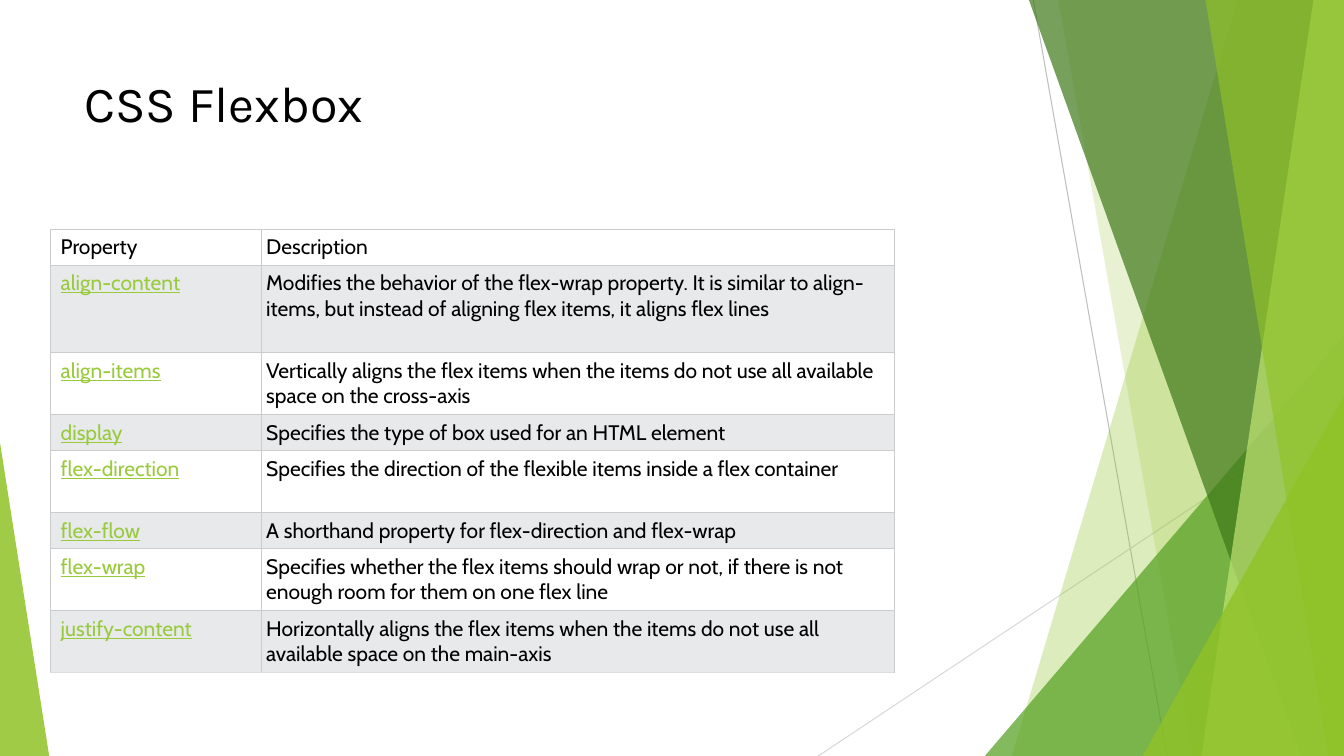
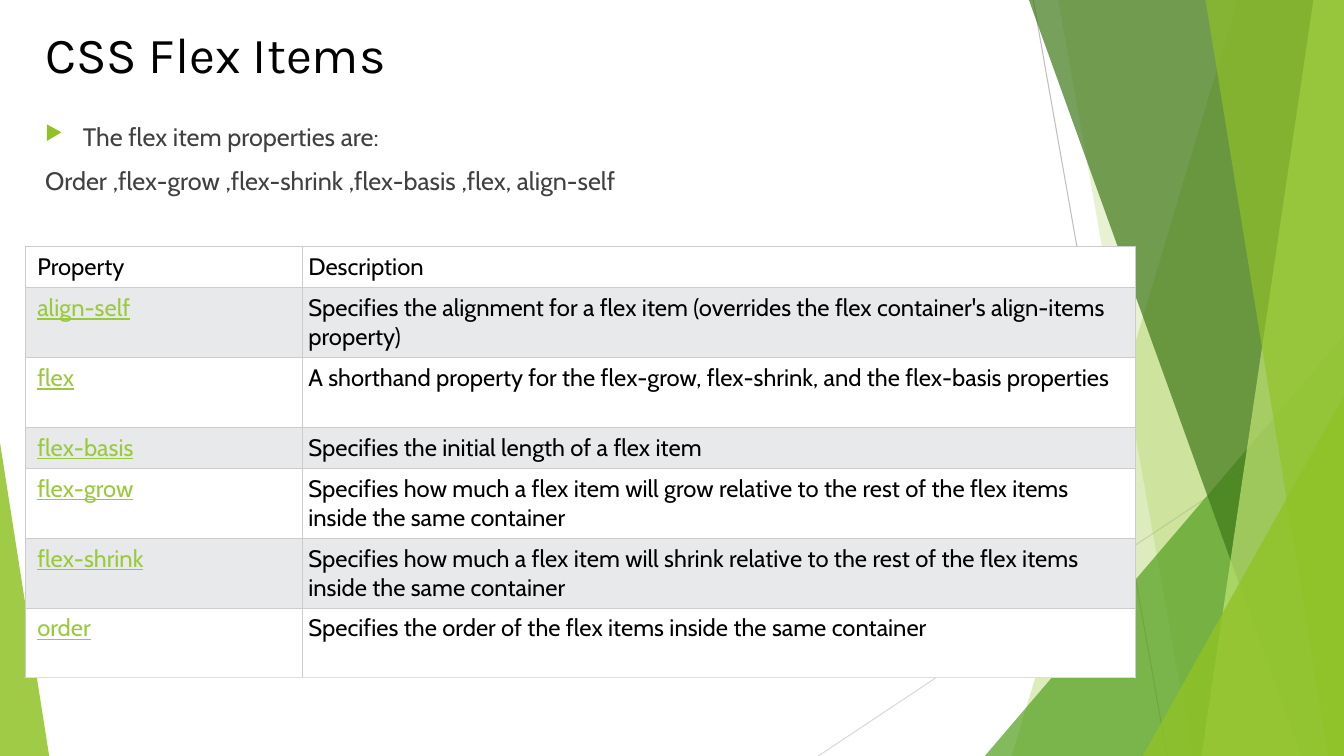
"""Build two slides on CSS flexbox properties with a shared green backdrop."""
from dataclasses import dataclass

import lxml.etree
import pptx
import pptx.dml.color
import pptx.enum.shapes
import pptx.enum.text
import pptx.oxml.ns
import pptx.shapes.base
import pptx.slide
import pptx.table
import pptx.text.text
import pptx.util

Cm = pptx.util.Cm
Pt = pptx.util.Pt
qn = pptx.oxml.ns.qn

WIDTH, HEIGHT = 33.87, 19.05
TITLE_FONT, BODY_FONT = "Karla", "Cabin"
COLORS = {
    "black": "000000",
    "body": "404040",
    "white": "FFFFFF",
    "stripe": "E7E9EB",
    "link": "99CA3C",
    "border": "CCCCCC",
    "border_end": "DDDDDD",
    "line_dark": "BFBFBF",
    "line_light": "D9D9D9",
    "lime": "90C226",
    "green": "54A021",
    "forest": "3F7819",
    "pale": "C0E474",
}


@dataclass(frozen=True)
class Ray:
    start: tuple[float, float]
    end: tuple[float, float]
    color: str


@dataclass(frozen=True)
class Band:
    top_x: float
    bottom_x: float
    color: str
    opacity: int


@dataclass(frozen=True)
class Wedge:
    left: float
    top: float
    width: float
    apex: float
    color: str
    opacity: int


@dataclass(frozen=True)
class Entry:
    name: str
    description: str
    lines: int


@dataclass(frozen=True)
class Grid:
    left: float
    top: float
    columns: tuple[float, float]
    size: int
    padding: float
    line_height: float
    entries: tuple[Entry, ...]


RAYS = (
    Ray((26.04, 0), (29.41, HEIGHT), "line_dark"),
    Ray((WIDTH, 10.24), (20.62, HEIGHT), "line_light"),
)
FACETS = (
    Band(31.19, 25.5, "lime", 30),
    Band(26.67, 30.05, "lime", 20),
    Wedge(24.82, 8.46, WIDTH - 24.82, 1, "green", 72),
    Band(25.93, 32.79, "forest", 70),
    Band(33.1, 30.28, "pale", 70),
    Band(30.38, 33.48, "lime", 65),
    Wedge(28.8, 9.98, WIDTH - 28.8, 1, "lime", 80),
    Wedge(0, 11.15, 1.24, 0, "lime", 85),
)
HEADER = Entry("Property", "Description", 1)
CONTAINER_GRID = Grid(1.27, 5.77, (5.31, 15.95), 15, 0.13, 0.65, (
    HEADER,
    Entry("align-content", "Modifies the behavior of the flex-wrap property. It is similar to "
          "align-items, but instead of aligning flex items, it aligns flex lines", 3),
    Entry("align-items", "Vertically aligns the flex items when the items do not use all "
          "available space on the cross-axis", 2),
    Entry("display", "Specifies the type of box used for an HTML element", 1),
    Entry("flex-direction", "Specifies the direction of the flexible items inside a flex "
          "container", 2),
    Entry("flex-flow", "A shorthand property for flex-direction and flex-wrap", 1),
    Entry("flex-wrap", "Specifies whether the flex items should wrap or not, if there is not "
          "enough room for them on one flex line", 2),
    Entry("justify-content", "Horizontally aligns the flex items when the items do not use all "
          "available space on the main-axis", 2),
))
ITEM_GRID = Grid(0.64, 6.22, (6.98, 21), 17, 0.15, 0.73, (
    HEADER,
    Entry("align-self", "Specifies the alignment for a flex item (overrides the flex "
          "container's align-items property)", 2),
    Entry("flex", "A shorthand property for the flex-grow, flex-shrink, and the flex-basis "
          "properties", 2),
    Entry("flex-basis", "Specifies the initial length of a flex item", 1),
    Entry("flex-grow", "Specifies how much a flex item will grow relative to the rest of the "
          "flex items inside the same container", 2),
    Entry("flex-shrink", "Specifies how much a flex item will shrink relative to the rest of "
          "the flex items inside the same container", 2),
    Entry("order", "Specifies the order of the flex items inside the same container", 2),
))


def rgb(name: str) -> pptx.dml.color.RGBColor:
    return pptx.dml.color.RGBColor.from_string(COLORS[name])


def add_span(para: pptx.text.text._Paragraph, text: str, font: str, size: int,
             color: str, underline: bool = False) -> None:
    span = para.add_run()
    span.text = text
    span.font.name = font
    span.font.size = Pt(size)
    span.font.color.rgb = rgb(color)
    span.font.underline = underline


def add_ray(page: pptx.slide.Slide, ray: Ray) -> None:
    line = page.shapes.add_connector(
        pptx.enum.shapes.MSO_CONNECTOR.STRAIGHT, *map(Cm, ray.start + ray.end))
    line.line.color.rgb = rgb(ray.color)
    line.line.width = Pt(0.75)
    lxml.etree.SubElement(line.element.spPr, qn("a:effectLst"))


def add_band(page: pptx.slide.Slide, band: Band) -> pptx.shapes.base.BaseShape:
    builder = page.shapes.build_freeform(Cm(band.top_x), 0, scale=1.0)
    corners = ((WIDTH, 0), (WIDTH, HEIGHT), (band.bottom_x, HEIGHT))
    builder.add_line_segments([(Cm(x), Cm(y)) for x, y in corners], close=True)
    return builder.convert_to_shape()


def add_wedge(page: pptx.slide.Slide, wedge: Wedge) -> pptx.shapes.base.BaseShape:
    shape = page.shapes.add_shape(
        pptx.enum.shapes.MSO_SHAPE.ISOSCELES_TRIANGLE, Cm(wedge.left), Cm(wedge.top),
        Cm(wedge.width), Cm(HEIGHT - wedge.top))
    shape.adjustments[0] = wedge.apex
    return shape


def add_backdrop(page: pptx.slide.Slide) -> None:
    for ray in RAYS:
        add_ray(page, ray)
    for facet in FACETS:
        shape = add_band(page, facet) if isinstance(facet, Band) else add_wedge(page, facet)
        shape.shadow.inherit = False
        shape.line.fill.background()
        shape.fill.solid()
        shape.fill.fore_color.rgb = rgb(facet.color)
        color = shape.element.spPr.find(qn("a:solidFill"))[0]
        lxml.etree.SubElement(color, qn("a:alpha"), val=str(facet.opacity * 1000))


def add_text_frame(page: pptx.slide.Slide, left: float, top: float, width: float,
                   height: float) -> pptx.text.text.TextFrame:
    box = page.shapes.add_textbox(Cm(left), Cm(top), Cm(width), Cm(height))
    box.text_frame.word_wrap = True
    return box.text_frame


def add_title(page: pptx.slide.Slide, text: str, left: float, top: float) -> None:
    frame = add_text_frame(page, left, top, 23.88, 3.66)
    add_span(frame.paragraphs[0], text, TITLE_FONT, 36, "black")


def add_bullet(para: pptx.text.text._Paragraph) -> None:
    properties = para._p.get_or_add_pPr()
    indent = Cm(0.95)
    properties.set("marL", str(indent))
    properties.set("indent", str(-indent))
    color = lxml.etree.SubElement(properties, qn("a:buClr"))
    lxml.etree.SubElement(color, qn("a:srgbClr"), val=COLORS["lime"])
    lxml.etree.SubElement(properties, qn("a:buSzPct"), val="80000")
    lxml.etree.SubElement(properties, qn("a:buChar"), char="▶")


def add_introduction(page: pptx.slide.Slide, bullet: str, listing: str) -> None:
    frame = add_text_frame(page, 0.89, 2.92, 30.3, 4.06)
    for para, text in ((frame.paragraphs[0], bullet), (frame.add_paragraph(), listing)):
        para.space_before = Pt(10)
        add_span(para, text, BODY_FONT, 18, "body")
    add_bullet(frame.paragraphs[0])


def set_borders(cell: pptx.table._Cell, is_last: bool) -> None:
    properties = cell._tc.get_or_add_tcPr()
    for position, side in enumerate("LRTB"):
        color = "border_end" if is_last and side == "B" else "border"
        line = lxml.etree.Element(qn(f"a:ln{side}"), w=str(Pt(0.6)))
        fill = lxml.etree.SubElement(line, qn("a:solidFill"))
        lxml.etree.SubElement(fill, qn("a:srgbClr"), val=COLORS[color])
        properties.insert(position, line)


def add_grid(page: pptx.slide.Slide, grid: Grid) -> None:
    heights = [2 * grid.padding + entry.lines * grid.line_height for entry in grid.entries]
    table = page.shapes.add_table(
        len(heights), len(grid.columns), Cm(grid.left), Cm(grid.top),
        Cm(sum(grid.columns)), Cm(sum(heights))).table
    table.first_row = table.horz_banding = False
    for column, width in zip(table.columns, grid.columns):
        column.width = Cm(width)
    for index, (entry, height) in enumerate(zip(grid.entries, heights)):
        table.rows[index].height = Cm(height)
        for column, text in enumerate((entry.name, entry.description)):
            cell = table.cell(index, column)
            is_link = column == 0 and index > 0
            cell.margin_left = Cm(grid.padding * (2 - column))
            cell.margin_right = cell.margin_top = cell.margin_bottom = Cm(grid.padding)
            cell.vertical_anchor = pptx.enum.text.MSO_ANCHOR.TOP
            cell.fill.solid()
            cell.fill.fore_color.rgb = rgb("stripe" if index % 2 else "white")
            set_borders(cell, index == len(heights) - 1)
            add_span(cell.text_frame.paragraphs[0], text, BODY_FONT, grid.size,
                     "link" if is_link else "black", is_link)


def add_page(deck: pptx.presentation.Presentation, title: str, left: float,
             top: float) -> pptx.slide.Slide:
    page = deck.slides.add_slide(deck.slide_layouts[6])
    add_backdrop(page)
    add_title(page, title, left, top)
    return page


def main() -> None:
    deck = pptx.Presentation()
    deck.slide_width, deck.slide_height = Cm(WIDTH), Cm(HEIGHT)

    container_page = add_page(deck, "CSS Flexbox", 1.88, 1.7)
    add_grid(container_page, CONTAINER_GRID)

    item_page = add_page(deck, "CSS Flex Items", 0.89, 0.46)
    add_introduction(item_page, "The flex item properties are:",
                     "Order ,flex-grow ,flex-shrink ,flex-basis ,flex, align-self")
    add_grid(item_page, ITEM_GRID)

    deck.save("out.pptx")


if __name__ == "__main__":
    main()
